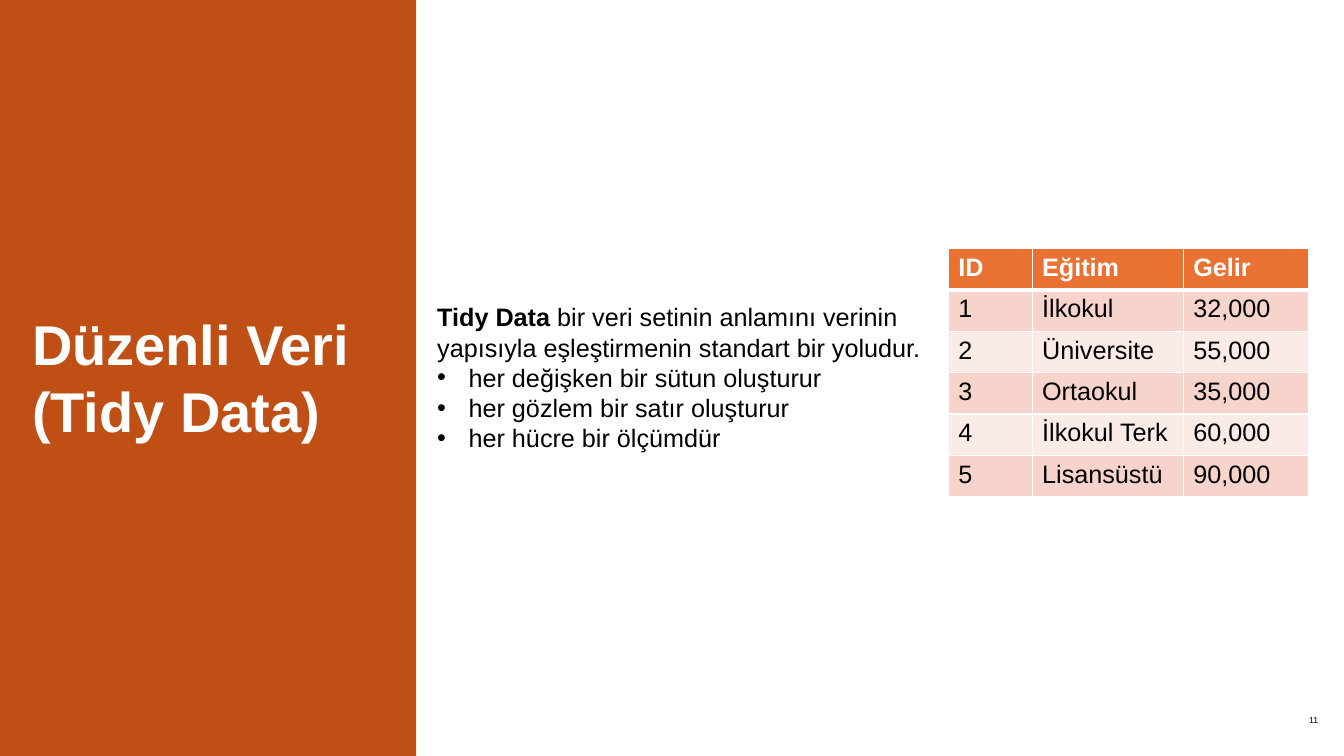
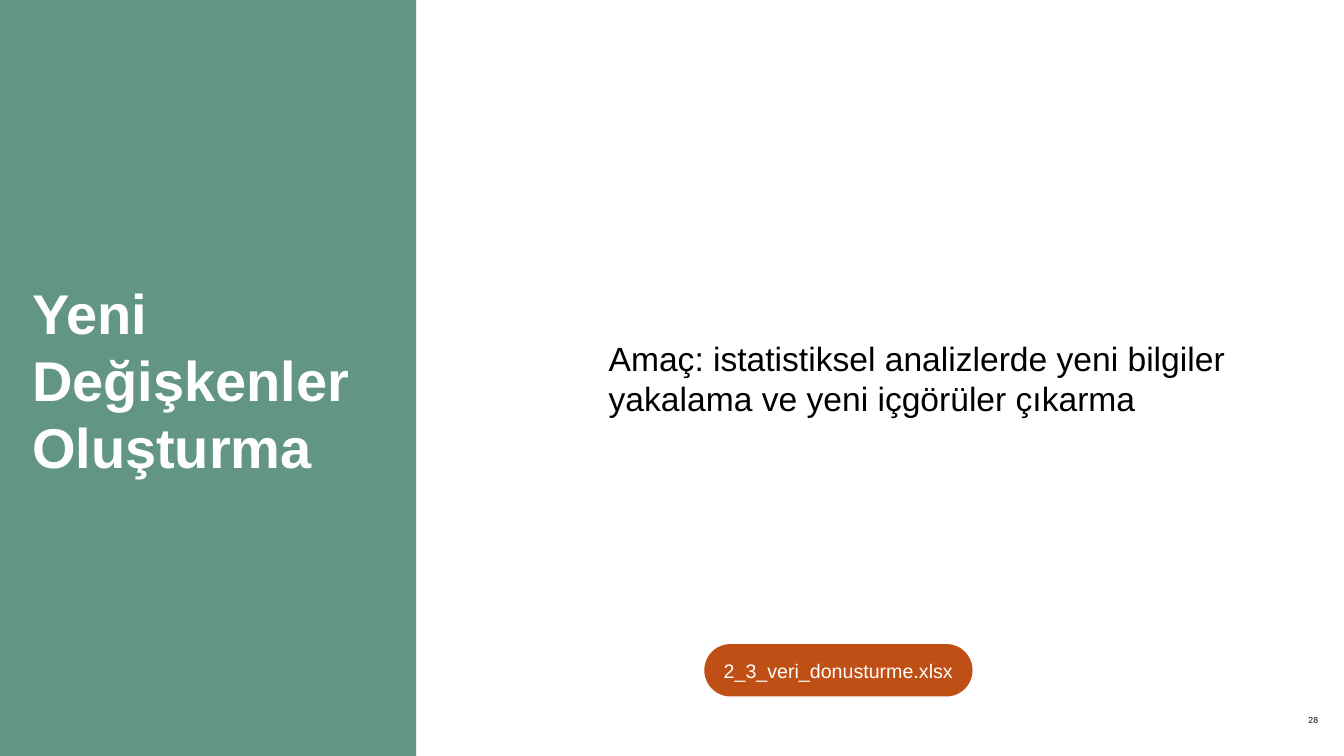
import pptx
import pptx.dml.color
import pptx.enum.shapes
import pptx.enum.text
import pptx.oxml
import pptx.oxml.ns
import pptx.util
from lxml import etree

Cm = pptx.util.Cm
Pt = pptx.util.Pt
Align = pptx.enum.text.PP_ALIGN
Anchor = pptx.enum.text.MSO_ANCHOR
Shape = pptx.enum.shapes.MSO_SHAPE
qn = pptx.oxml.ns.qn


def color(value):
    return pptx.dml.color.RGBColor.from_string(value)


class Deck:
    FONT = "Arial"
    RUST = "BF4F14"
    GREEN = "629584"
    HEADER = "E97132"
    STRIPES = ("F6D4CC", "FBEBE7")
    WHITE = "FFFFFF"
    BLACK = "000000"
    LEADING = 1.2
    BULLET_INDENT = 0.79

    def __init__(self):
        self.deck = pptx.Presentation()
        self.deck.slide_width = Cm(33.87)
        self.deck.slide_height = Cm(19.05)
        self.slide = None

    def section(self, title, band_color, number, title_top, title_height):
        self.slide = self.deck.slides.add_slide(self.deck.slide_layouts[6])
        self.block(Shape.RECTANGLE, (0, -0.08, 10.49, 19.33), band_color)
        self.text((0.48, title_top, 9.53, title_height), [title], 40, self.WHITE,
                  bold=True, insets=(0.33, 0.33))
        self.text((31.52, 17.42, 2.03, 1.45), [number], 6.2, align=Align.RIGHT,
                  anchor=Anchor.MIDDLE, insets=(0.33, 0.33))

    def block(self, preset, box, fill):
        block = self.slide.shapes.add_shape(preset, *map(Cm, box))
        block.shadow.inherit = False
        block.fill.solid()
        block.fill.fore_color.rgb = color(fill)
        block.line.fill.background()
        return block

    def pill(self, label, box):
        pill = self.block(Shape.ROUNDED_RECTANGLE, box, self.RUST)
        pill.adjustments[0] = 0.5
        self.fill_frame(pill.text_frame, [label], 14, self.WHITE, align=Align.CENTER,
                        anchor=Anchor.MIDDLE, insets=(0.25, 0.25))

    def text(self, box, lines, size, ink=BLACK, **style):
        frame = self.slide.shapes.add_textbox(*map(Cm, box)).text_frame
        self.fill_frame(frame, lines, size, ink, **style)
        return frame

    def fill_frame(self, frame, lines, size, ink, bold=False, align=Align.LEFT,
                   anchor=Anchor.TOP, insets=(0.25, 0.13)):
        frame.word_wrap = True
        frame.vertical_anchor = anchor
        frame.margin_left = frame.margin_right = Cm(insets[0])
        frame.margin_top = frame.margin_bottom = Cm(insets[1])
        frame.text = "\n".join(lines)
        for paragraph in frame.paragraphs:
            paragraph.alignment = align
            paragraph.line_spacing = Pt(size * self.LEADING)
            self.style_runs(paragraph, size, ink, bold)

    def style_runs(self, paragraph, size, ink, bold=False):
        for run in paragraph.runs:
            run.font.name = self.FONT
            run.font.size = Pt(size)
            run.font.bold = bold
            run.font.color.rgb = color(ink)

    def definition(self, box, term, explanation, rules, size):
        frame = self.text(box, [term, *rules], size)
        statement, *bullets = frame.paragraphs
        statement.add_run().text = explanation
        self.style_runs(statement, size, self.BLACK)
        statement.runs[0].font.bold = True
        for paragraph in bullets:
            properties = paragraph._p.get_or_add_pPr()
            properties.set("marL", str(Cm(self.BULLET_INDENT)))
            properties.set("indent", str(-Cm(self.BULLET_INDENT)))
            etree.SubElement(properties, qn("a:buFont"), typeface=self.FONT)
            etree.SubElement(properties, qn("a:buChar"), char="•")

    def cell_borders(self, cell, top, bottom):
        properties = cell._tc.get_or_add_tcPr()
        for side, width in (("L", 1), ("R", 1), ("T", top), ("B", bottom)):
            line = etree.SubElement(properties, qn("a:ln" + side), w=str(Pt(width)))
            fill = etree.SubElement(line, qn("a:solidFill"))
            etree.SubElement(fill, qn("a:srgbClr"), val=self.WHITE)

    def table(self, left, top, widths, row_height, records, size):
        table = self.slide.shapes.add_table(
            len(records), len(widths), Cm(left), Cm(top),
            Cm(sum(widths)), Cm(row_height * len(records))).table
        for column, width in zip(table.columns, widths):
            column.width = Cm(width)
        for row, record in enumerate(records):
            header = row == 0
            fill = self.HEADER if header else self.STRIPES[(row - 1) % 2]
            for column, value in enumerate(record):
                cell = table.cell(row, column)
                self.cell_borders(cell, 3 if row == 1 else 1, 3 if header else 1)
                cell.fill.solid()
                cell.fill.fore_color.rgb = color(fill)
                cell.text_frame.text = value
                self.style_runs(cell.text_frame.paragraphs[0], size,
                                self.WHITE if header else self.BLACK, header)


def main():
    deck = Deck()

    deck.section("Düzenli Veri\v(Tidy Data)", Deck.RUST, "11", 7.47, 4.11)
    deck.definition(
        (10.77, 7.47, 13.72, 4.11), "Tidy Data",
        " bir veri setinin anlamını verinin yapısıyla eşleştirmenin standart bir yoludur.",
        ["her değişken bir sütun oluşturur",
         "her gözlem bir satır oluşturur",
         "her hücre bir ölçümdür"], 18)
    deck.table(23.9, 6.27, (2.11, 3.81, 3.15), 1.04, [
        ("ID", "Eğitim", "Gelir"),
        ("1", "İlkokul", "32,000"),
        ("2", "Üniversite", "55,000"),
        ("3", "Ortaokul", "35,000"),
        ("4", "İlkokul Terk", "60,000"),
        ("5", "Lisansüstü", "90,000"),
    ], 18)

    deck.section("Yeni Değişkenler Oluşturma", Deck.GREEN, "28", 6.68, 5.82)
    deck.text((15.09, 8.38, 16.26, 2.31),
              ["Amaç: istatistiksel analizlerde yeni bilgiler yakalama ve yeni içgörüler çıkarma"],
              24)
    deck.pill("2_3_veri_donusturme.xlsx", (17.75, 16.23, 6.76, 1.32))

    deck.deck.save("out.pptx")


if __name__ == "__main__":
    main()
